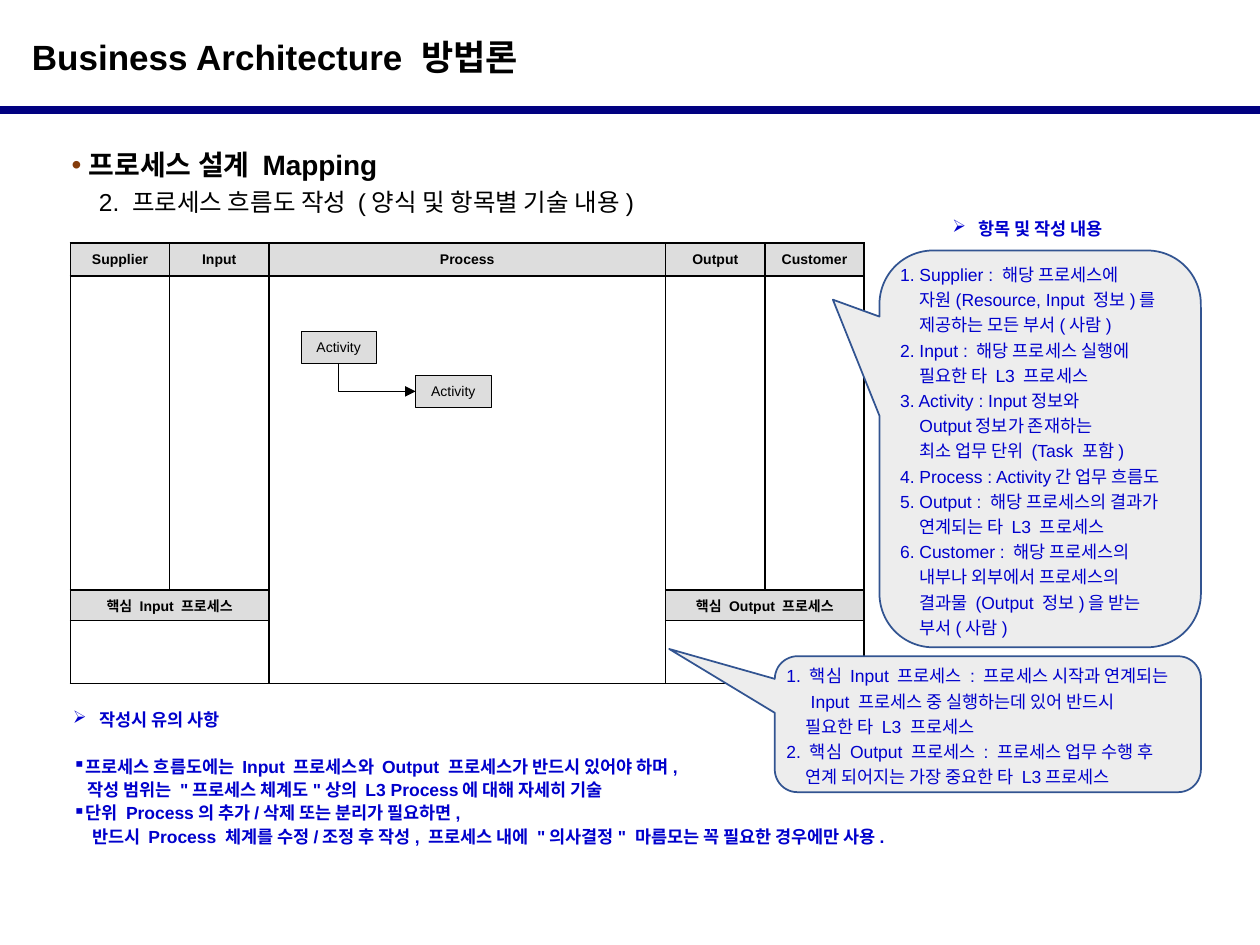
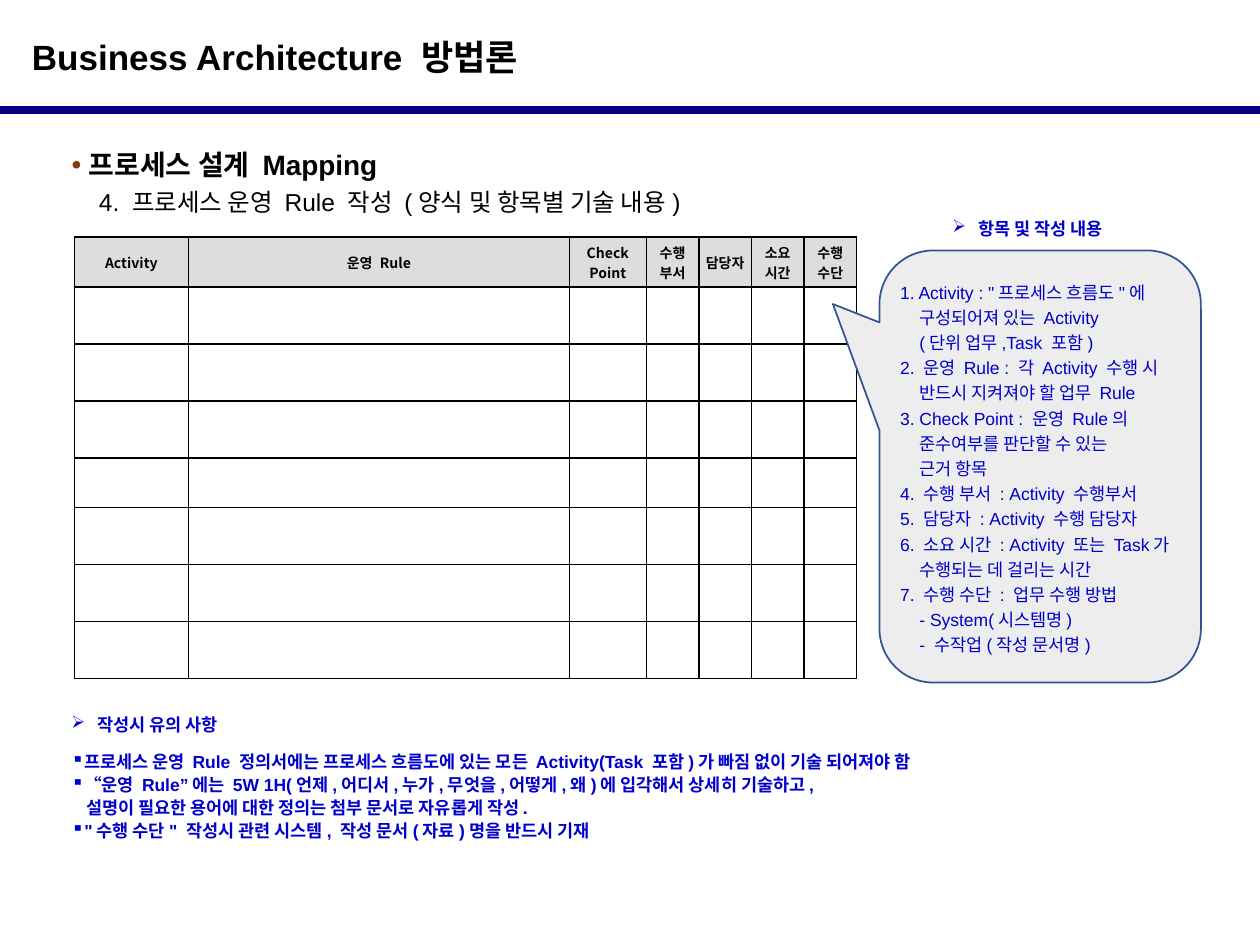
import pptx
import pptx.dml.color
import pptx.enum.shapes
import pptx.enum.text
import pptx.oxml
import pptx.oxml.ns
import pptx.util
from lxml import etree

Cm = pptx.util.Cm
Pt = pptx.util.Pt
ALIGN = pptx.enum.text.PP_ALIGN
ANCHOR = pptx.enum.text.MSO_ANCHOR
SHAPE = pptx.enum.shapes.MSO_SHAPE
CONNECTOR = pptx.enum.shapes.MSO_CONNECTOR

COLORS = {
    "text": "000000", "rule": "000080", "bullet": "843C0B", "note": "0000CC",
    "header": "DDDDDD", "cell": "FFFFFF", "callout": "EDEDED", "callout_line": "325491",
}
LATIN, HANGUL = "Arial", "Noto Sans CJK KR"
NOTE_STYLE = {"color": "note", "size": 10}
KEY_HEADING = (18.95, 4.27, 3.78, 0.69)
CONTINUED = 0.39  # indent of a continued line, in cm


def rgb(name):
    return pptx.dml.color.RGBColor.from_string(COLORS[name])


def lengths(box):
    return [Cm(value) for value in box]


def add_child(parent, tag, **attributes):
    child = etree.SubElement(parent, pptx.oxml.ns.qn(tag))
    for key, value in attributes.items():
        child.set(key, str(value))
    return child


def add_line(frame, text, size=10, color="text", bold=False, font=LATIN, align=ALIGN.LEFT,
             spacing=1.0, indent=0, bullet=None, hang=0, bullet_color=None):
    """Write one paragraph; the first call fills the paragraph the frame already has."""
    paragraph = frame.paragraphs[0]
    if paragraph.runs:
        paragraph = frame.add_paragraph()
    paragraph.alignment = align
    paragraph.line_spacing = spacing
    paragraph.space_before = Pt(0)
    properties = paragraph._p.get_or_add_pPr()
    properties.set("marL", str(Cm(hang if bullet else indent)))
    properties.set("indent", str(-Cm(hang) if bullet else 0))
    if bullet:
        if bullet_color:
            add_child(add_child(properties, "a:buClr"), "a:srgbClr", val=COLORS[bullet_color])
        add_child(properties, "a:buChar", char=bullet)
    else:
        add_child(properties, "a:buNone")
    run = paragraph.add_run()
    run.text = text
    run.font.size = Pt(size)
    run.font.bold = bold
    run.font.color.rgb = rgb(color)
    run.font.name = font
    add_child(run._r.get_or_add_rPr(), "a:ea", typeface=HANGUL)


def add_lines(frame, lines, **style):
    """Plain strings start an item; (indent, text) pairs continue it."""
    for line in lines:
        if isinstance(line, tuple):
            indent, text = line
            add_line(frame, text, **{**style, "indent": indent, "bullet": None})
        else:
            add_line(frame, line, **style)


def place(shape, box):
    shape.left, shape.top, shape.width, shape.height = lengths(box)


def set_margins(target, horizontal, vertical):
    target.margin_left = target.margin_right = Cm(horizontal)
    target.margin_top = target.margin_bottom = Cm(vertical)


def add_filled_shape(slide, kind, box, fill, line, width):
    shape = slide.shapes.add_shape(kind, *lengths(box))
    shape.shadow.inherit = False
    shape.fill.solid()
    shape.fill.fore_color.rgb = rgb(fill)
    shape.line.color.rgb = rgb(line)
    shape.line.width = Pt(width)
    shape.text_frame.vertical_anchor = ANCHOR.MIDDLE
    return shape


def style_connector(connector, color, width):
    connector.line.color.rgb = rgb(color)
    connector.line.width = Pt(width)
    add_child(connector._element.spPr, "a:effectLst")


def add_page(presentation, topic):
    """Slide with the shared title, rule and topic lines."""
    slide = presentation.slides.add_slide(presentation.slide_layouts[1])
    title, body = slide.placeholders
    place(title, (0, 0.58, 25.4, 1.12))
    place(body, (1.19, 2.72, 23.01, 1.8))
    for placeholder in (title, body):
        placeholder.text_frame.auto_size = pptx.enum.text.MSO_AUTO_SIZE.NONE
    add_line(title.text_frame, "Business Architecture 방법론", size=20, bold=True, indent=0.39)

    rule = slide.shapes.add_connector(CONNECTOR.STRAIGHT, *lengths((0, 2.21, 25.4, 2.21)))
    style_connector(rule, "rule", 4.5)

    add_line(body.text_frame, "프로세스 설계 Mapping", size=16, bold=True, spacing=1.2,
             align=ALIGN.JUSTIFY, bullet="•", hang=0.35, bullet_color="bullet")
    add_line(body.text_frame, topic, size=14, spacing=1.2, align=ALIGN.JUSTIFY, indent=0.55)
    return slide


def add_text_box(slide, box):
    frame = slide.shapes.add_textbox(*lengths(box)).text_frame
    frame.word_wrap = True
    return frame


def add_heading(slide, box, text):
    frame = add_text_box(slide, box)
    frame.word_wrap = False
    add_line(frame, text, bold=True, bullet="➢", hang=0.53, **NOTE_STYLE)


def add_notes(slide, left, top, box_size, gap, lines):
    """Heading with the list of cautions a gap below it."""
    add_heading(slide, (left, top, 3.66, 0.69), "작성시 유의 사항")
    frame = add_text_box(slide, (left, top + gap, *box_size))
    frame.vertical_anchor = ANCHOR.MIDDLE
    add_lines(frame, lines, bold=True, spacing=1.1, bullet="▪", hang=0.23, **NOTE_STYLE)


def add_callout(slide, box, pointer, lines):
    shape = add_filled_shape(slide, SHAPE.ROUNDED_RECTANGULAR_CALLOUT, box,
                             "callout", "callout_line", 1)
    for index, value in enumerate((*pointer, 0.167)):
        shape.adjustments[index] = value
    set_margins(shape.text_frame, 0.1, 0.13)
    add_lines(shape.text_frame, lines, spacing=1.2, **NOTE_STYLE)


def format_cell(cell, fill):
    properties = cell._tc.get_or_add_tcPr()
    for side in ("L", "R", "T", "B"):
        border = add_child(properties, f"a:ln{side}", w=Pt(1))
        add_child(add_child(border, "a:solidFill"), "a:srgbClr", val=COLORS["text"])
    cell.fill.solid()
    cell.fill.fore_color.rgb = rgb(fill)
    cell.vertical_anchor = ANCHOR.MIDDLE
    set_margins(cell, 0, 0)


def label_cell(cell, text, font):
    cell.fill.fore_color.rgb = rgb("header")
    for part in text.split("\n"):
        add_line(cell.text_frame, part, size=8, bold=True, font=font, align=ALIGN.CENTER)


def add_form(slide, left, top, widths, heights, headers, font=LATIN):
    """Blank form table with a shaded header row."""
    box = (left, top, sum(widths), sum(heights))
    frame = slide.shapes.add_table(len(heights), len(widths), *lengths(box))
    table = frame.table
    for column, width in zip(table.columns, widths):
        column.width = Cm(width)
    for row, height in zip(table.rows, heights):
        row.height = Cm(height)
    for cell in table.iter_cells():
        format_cell(cell, "cell")
    for column, text in enumerate(headers):
        label_cell(table.cell(0, column), text, font)
    return table


def add_activity_flow(slide, left, top):
    """Two activities joined by an elbow arrow."""
    width, height, step_x, step_y = 1.52, 0.64, 2.31, 0.89
    activities = []
    for step in range(2):
        box = (left + step * step_x, top + step * step_y, width, height)
        shape = add_filled_shape(slide, SHAPE.RECTANGLE, box, "header", "text", 0.5)
        shape.text_frame.word_wrap = False
        add_line(shape.text_frame, "Activity", size=8, align=ALIGN.CENTER)
        activities.append(shape)

    arrow = slide.shapes.add_connector(CONNECTOR.ELBOW, 0, 0, 0, 0)
    arrow.begin_connect(activities[0], 2)
    arrow.end_connect(activities[1], 1)
    # A single bend, turned so that it runs down and then right
    run, drop = step_x - width / 2, step_y - height / 2
    center_x, center_y = left + width / 2 + run / 2, top + height + drop / 2
    place(arrow, (center_x - drop / 2, center_y - run / 2, drop, run))
    properties = arrow._element.spPr
    properties.find(pptx.oxml.ns.qn("a:prstGeom")).set("prst", "bentConnector2")
    transform = properties.find(pptx.oxml.ns.qn("a:xfrm"))
    transform.attrib.pop("flipV", None)
    transform.set("rot", str(270 * 60000))
    transform.set("flipH", "1")
    style_connector(arrow, "text", 0.5)
    add_child(arrow.line._get_or_add_ln(), "a:tailEnd", type="triangle")


def build_flow_slide(presentation):
    slide = add_page(presentation, "2. 프로세스 흐름도 작성 (양식 및 항목별 기술 내용)")
    add_notes(slide, 1.22, 14.17, (21.2, 2.51), 0.71, [
        "프로세스 흐름도에는 Input 프로세스와 Output 프로세스가 반드시 있어야 하며,",
        (0.3, '작성 범위는 "프로세스 체계도"상의 L3 Process에 대해 자세히 기술'),
        "단위 Process의 추가/삭제 또는 분리가 필요하면,",
        (0.39, '반드시 Process 체계를 수정/조정 후 작성, 프로세스 내에 "의사결정" '
               "마름모는 꼭 필요한 경우에만 사용."),
    ])

    # Flow form with merged areas
    left, top = 1.42, 4.9
    table = add_form(slide, left, top, [2, 2, 8, 2, 2], [0.66, 6.33, 0.62, 1.27],
                     ["Supplier", "Input", "Process", "Output", "Customer"])
    table.cell(1, 2).merge(table.cell(3, 2))
    for column, name in ((0, "Input"), (3, "Output")):
        for row in (2, 3):
            table.cell(row, column).merge(table.cell(row, column + 1))
        label_cell(table.cell(2, column), f"핵심 {name} 프로세스", LATIN)
    add_activity_flow(slide, left + 4.65, top + 1.78)

    # Explanations
    add_callout(slide, (17.73, 5.05, 6.48, 8), (-0.645, -0.376), [
        "1. Supplier : 해당 프로세스에",
        (CONTINUED, "자원(Resource, Input 정보)를"),
        (CONTINUED, "제공하는 모든 부서(사람)"),
        "2. Input : 해당 프로세스 실행에",
        (CONTINUED, "필요한 타 L3 프로세스"),
        "3. Activity : Input정보와",
        (CONTINUED, "Output정보가 존재하는"),
        (CONTINUED, "최소 업무 단위 (Task 포함)"),
        "4. Process : Activity간 업무 흐름도",
        "5. Output : 해당 프로세스의 결과가",
        (CONTINUED, "연계되는 타 L3 프로세스"),
        "6. Customer : 해당 프로세스의",
        (CONTINUED, "내부나 외부에서 프로세스의"),
        (CONTINUED, "결과물 (Output 정보)을 받는"),
        (CONTINUED, "부서(사람)"),
    ])
    add_heading(slide, KEY_HEADING, "항목 및 작성 내용")
    add_callout(slide, (15.62, 13.23, 8.59, 2.74), (-0.748, -0.554), [
        "1. 핵심 Input 프로세스 : 프로세스 시작과 연계되는",
        (0.49, "Input 프로세스 중 실행하는데 있어 반드시"),
        (CONTINUED, "필요한 타 L3 프로세스"),
        "2. 핵심 Output 프로세스 : 프로세스 업무 수행 후",
        (CONTINUED, "연계 되어지는 가장 중요한 타 L3프로세스"),
    ])


def build_rule_slide(presentation):
    slide = add_page(presentation, "4. 프로세스 운영 Rule 작성 (양식 및 항목별 기술 내용)")
    add_form(slide, 1.5, 4.78, [2.3, 7.68, 1.55] + [1.06] * 4,
             [1.01] + [1.15] * 3 + [0.99] + [1.15] * 3,
             ["Activity", "운영 Rule", "Check\nPoint", "수행\n부서", "담당자",
              "소요\n시간", "수행\n수단"], font=HANGUL)

    # Explanations
    add_callout(slide, (17.73, 5.05, 6.48, 8.71), (-0.645, -0.376), [
        '1. Activity : "프로세스 흐름도"에',
        (CONTINUED, "구성되어져 있는 Activity"),
        (CONTINUED, "(단위 업무,Task 포함)"),
        "2. 운영 Rule : 각 Activity 수행 시",
        (CONTINUED, "반드시 지켜져야 할 업무 Rule"),
        "3. Check Point : 운영 Rule의",
        (CONTINUED, "준수여부를 판단할 수 있는"),
        (CONTINUED, "근거 항목"),
        "4. 수행 부서 : Activity 수행부서",
        "5. 담당자 : Activity 수행 담당자",
        "6. 소요 시간 : Activity 또는 Task가",
        (CONTINUED, "수행되는 데 걸리는 시간"),
        "7. 수행 수단 : 업무 수행 방법",
        (CONTINUED, "- System(시스템명)"),
        (CONTINUED, "- 수작업(작성 문서명)"),
    ])
    add_heading(slide, KEY_HEADING, "항목 및 작성 내용")
    add_notes(slide, 1.19, 14.27, (21.54, 2.13), 0.69, [
        "프로세스 운영 Rule 정의서에는 프로세스 흐름도에 있는 모든 Activity(Task 포함)가 "
        "빠짐 없이 기술 되어져야 함",
        "“운영 Rule”에는 5W 1H(언제,어디서,누가,무엇을,어떻게,왜)에 입각해서 상세히 기술하고,",
        (0.3, "설명이 필요한 용어에 대한 정의는 첨부 문서로 자유롭게 작성."),
        '"수행 수단" 작성시 관련 시스템, 작성 문서(자료)명을 반드시 기재',
    ])


def main():
    presentation = pptx.Presentation()
    presentation.slide_width, presentation.slide_height = lengths((25.4, 19.05))
    build_flow_slide(presentation)
    build_rule_slide(presentation)
    presentation.save("out.pptx")


if __name__ == "__main__":
    main()
